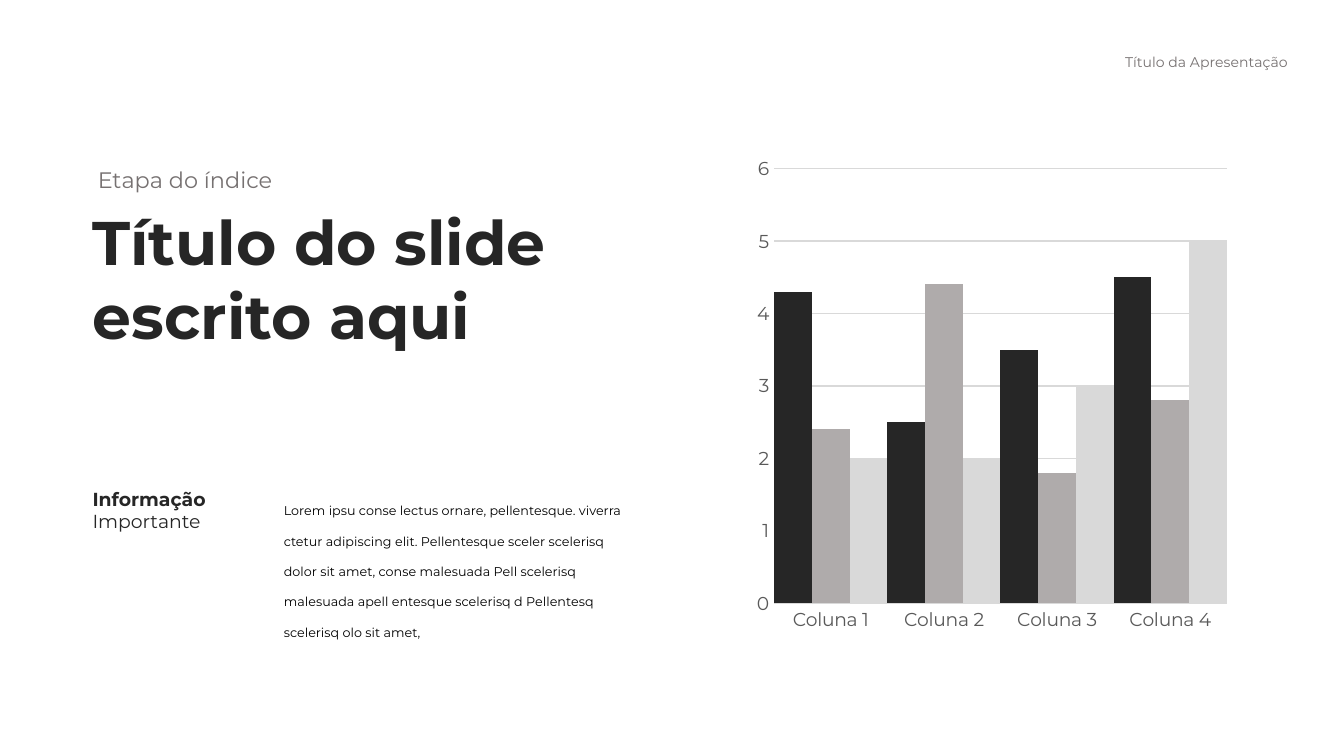
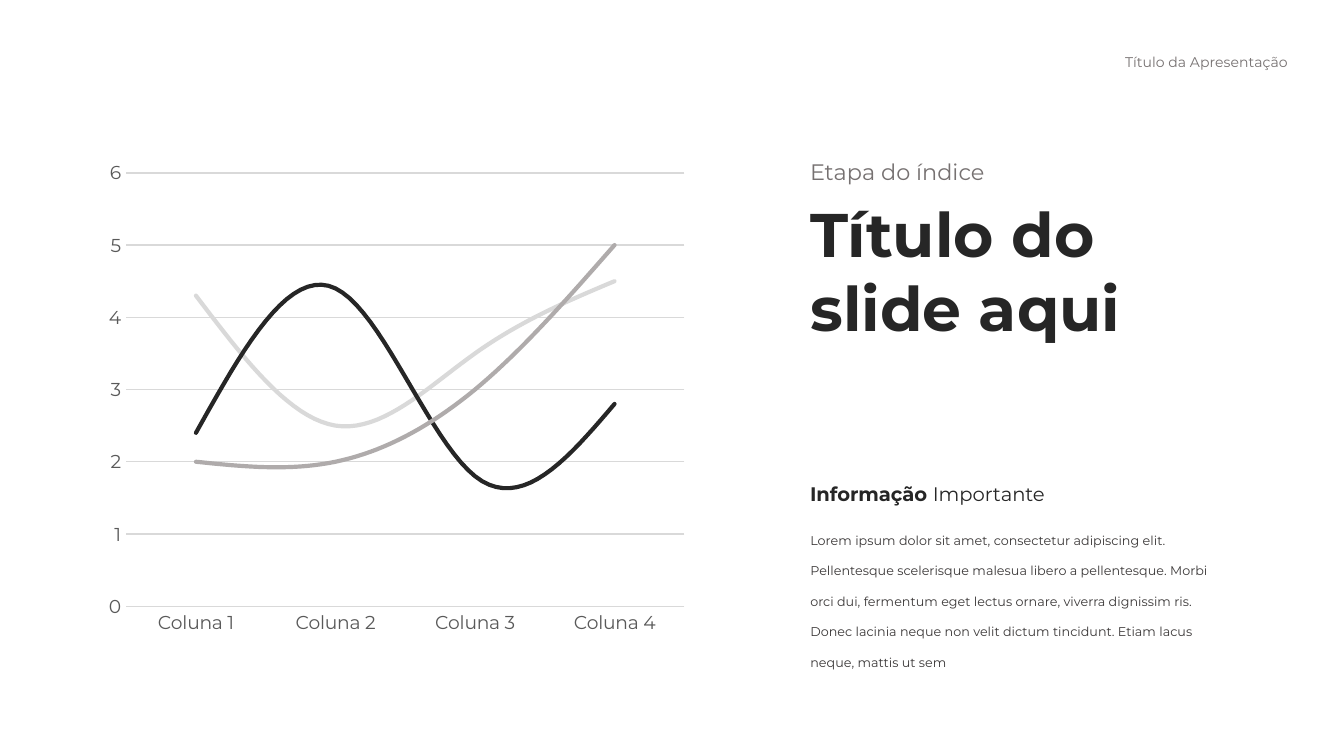
from lxml import etree
from pptx import Presentation
from pptx.chart.data import CategoryChartData
from pptx.dml.color import RGBColor
from pptx.enum.chart import XL_CHART_TYPE, XL_TICK_MARK
from pptx.enum.text import MSO_ANCHOR, MSO_AUTO_SIZE, PP_ALIGN
from pptx.oxml.ns import qn
from pptx.util import Cm, Pt

COLUMNS, LINES = XL_CHART_TYPE.COLUMN_CLUSTERED, XL_CHART_TYPE.LINE
NO_TICK = XL_TICK_MARK.NONE
LEFT, RIGHT = PP_ALIGN.LEFT, PP_ALIGN.RIGHT
TOP = MSO_ANCHOR.TOP
FIT_SHAPE = MSO_AUTO_SIZE.SHAPE_TO_FIT_TEXT

# Shared look
FONT = "Montserrat"
BLACK, INK, BODY_GREY = "000000", "262626", "3B3838"
MUTED, AXIS_GREY = "767171", "595959"
MID, PALE = "AFABAB", "D9D9D9"

# Both charts show the same data
CATEGORIES = [f"Coluna {n}" for n in range(1, 5)]
SERIES = {
    "Series 1": (4.3, 2.5, 3.5, 4.5),
    "Series 2": (2.4, 4.4, 1.8, 2.8),
    "Series 3": (2, 2, 3, 5),
}


def color(hex_text):
    return RGBColor.from_string(hex_text)


def set_font(font, size, hex_text, bold=False):
    font.name, font.size, font.bold = FONT, Pt(size), bold
    font.color.rgb = color(hex_text)


def place(shape, left, top, width, height):
    shape.left, shape.top = Cm(left), Cm(top)
    shape.width, shape.height = Cm(width), Cm(height)


def write(shape, paragraphs, size, hex_text, align=LEFT, wrap=True, spacing=1.0):
    """Fill a shape; each paragraph is a list of (text, bold) runs."""
    frame = shape.text_frame
    frame.word_wrap = wrap
    frame.auto_size = FIT_SHAPE
    frame.vertical_anchor = TOP
    for index, runs in enumerate(paragraphs):
        paragraph = frame.add_paragraph() if index else frame.paragraphs[0]
        paragraph.alignment = align
        paragraph.line_spacing = spacing
        paragraph.space_before = Pt(0)
        if shape.is_placeholder:
            properties = paragraph._p.get_or_add_pPr()
            properties.set("marL", "0")
            properties.set("indent", "0")
            etree.SubElement(properties, qn("a:buNone"))
        for text, bold in runs:
            run = paragraph.add_run()
            run.text = text
            set_font(run.font, size, hex_text, bold)


def add_text(slide, box, paragraphs, size, hex_text, **options):
    shape = slide.shapes.add_textbox(*map(Cm, box))
    write(shape, paragraphs, size, hex_text, **options)


def add_header(slide):
    add_text(slide, (20.98, 0.89, 3.61, 0.58), [[("Título da Apresentação", False)]],
             7.5, MUTED, align=RIGHT, wrap=False)


def add_heading(slide, box, title, step_indent=0.0):
    """Index step with the large title below it."""
    left, top, width, height = box
    step_height = 0.7
    add_text(slide, (left + step_indent, top, 3.86, 0.76),
             [[("Etapa do índice", False)]], 12, MUTED, wrap=False)
    place(slide.shapes.title, left, top + step_height, width, height - step_height)
    write(slide.shapes.title, [[(title, True)]], 33, INK)


def add_information(slide, box, label, label_box, label_size, body, body_color):
    """Label at the box corner; body in the bottom right of the box."""
    left, top, width, height = box
    label_width, label_height, body_dx, body_dy = label_box
    add_text(slide, (left, top, label_width, label_height), label, label_size, INK)
    text_body = slide.placeholders[1]
    place(text_body, left + body_dx, top + body_dy, width - body_dx, height - body_dy)
    write(text_body, [[(body, False)]], 6.8, body_color, spacing=2.0)


def add_series_chart(slide, box, kind, colors):
    data = CategoryChartData()
    data.categories = CATEGORIES
    for name, values in SERIES.items():
        data.add_series(name, values)
    chart = slide.shapes.add_chart(kind, *map(Cm, box), data).chart
    chart.has_legend = False
    chart.has_title = False
    set_font(chart.font, 10, BLACK)

    # Axes
    categories, scale = chart.category_axis, chart.value_axis
    for axis in (categories, scale):
        axis.major_tick_mark = axis.minor_tick_mark = NO_TICK
        set_font(axis.tick_labels.font, 10, AXIS_GREY)
    scale.minimum_scale, scale.maximum_scale, scale.major_unit = 0, 6, 1
    scale.has_major_gridlines = True
    scale.format.line.fill.background()
    for line in (categories.format.line, scale.major_gridlines.format.line):
        line.color.rgb = color(PALE)
        line.width = Pt(0.75)

    # Series
    plot = chart.plots[0]
    plot.vary_by_categories = False
    if kind == COLUMNS:
        plot.gap_width = plot.overlap = 0
    for series, hex_text in zip(plot.series, colors):
        if kind == COLUMNS:
            series.format.fill.solid()
            series.format.fill.fore_color.rgb = color(hex_text)
        else:
            series.smooth = True
            series.format.line.color.rgb = color(hex_text)
            series.format.line.width = Pt(2.25)
            outline = series._element.xpath("c:spPr/a:ln")[0]
            outline.set("cap", "rnd")
            etree.SubElement(outline, qn("a:round"))


def new_slide(deck):
    slide = deck.slides.add_slide(deck.slide_layouts[1])
    add_header(slide)
    return slide


def build_column_slide(deck):
    slide = new_slide(deck)
    add_series_chart(slide, (14.12, 2.79, 9.25, 9.32), COLUMNS, (INK, MID, PALE))
    add_heading(slide, (1.5, 3.02, 9.25, 3.77), "Título do slide escrito aqui", step_indent=0.1)
    add_information(
        slide, (1.5, 9.09, 10.82, 3.05),
        [[("Informação", True)], [("Importante", False)]], (2.77, 1.12, 3.61, 0), 10.1,
        "Lorem ipsu conse lectus ornare, pellentesque. viverra ctetur adipiscing elit. "
        "Pellentesque sceler scelerisq dolor sit amet, conse malesuada Pell scelerisq "
        "malesuada apell entesque scelerisq d Pellentesq scelerisq olo sit amet,", BLACK)


def build_line_slide(deck):
    slide = new_slide(deck)
    add_series_chart(slide, (1.83, 2.87, 11.33, 9.3), LINES, (PALE, INK, MID))
    add_heading(slide, (15.06, 2.87, 8.41, 3.77), "Título do slide aqui")
    add_information(
        slide, (15.06, 8.99, 8.41, 3.71),
        [[("Informação ", True), ("Importante", False)]], (5.69, 0.71, 0, 0.66), 10.5,
        "Lorem ipsum dolor sit amet, consectetur adipiscing elit. Pellentesque "
        "scelerisque malesua libero a pellentesque. Morbi orci dui, fermentum eget "
        "lectus ornare, viverra dignissim ris. Donec lacinia neque non velit dictum "
        "tincidunt. Etiam lacus neque, mattis ut sem", BODY_GREY)


def main():
    deck = Presentation()
    deck.slide_width, deck.slide_height = Cm(25.4), Cm(14.29)
    build_column_slide(deck)
    build_line_slide(deck)
    deck.save("out.pptx")


if __name__ == "__main__":
    main()
